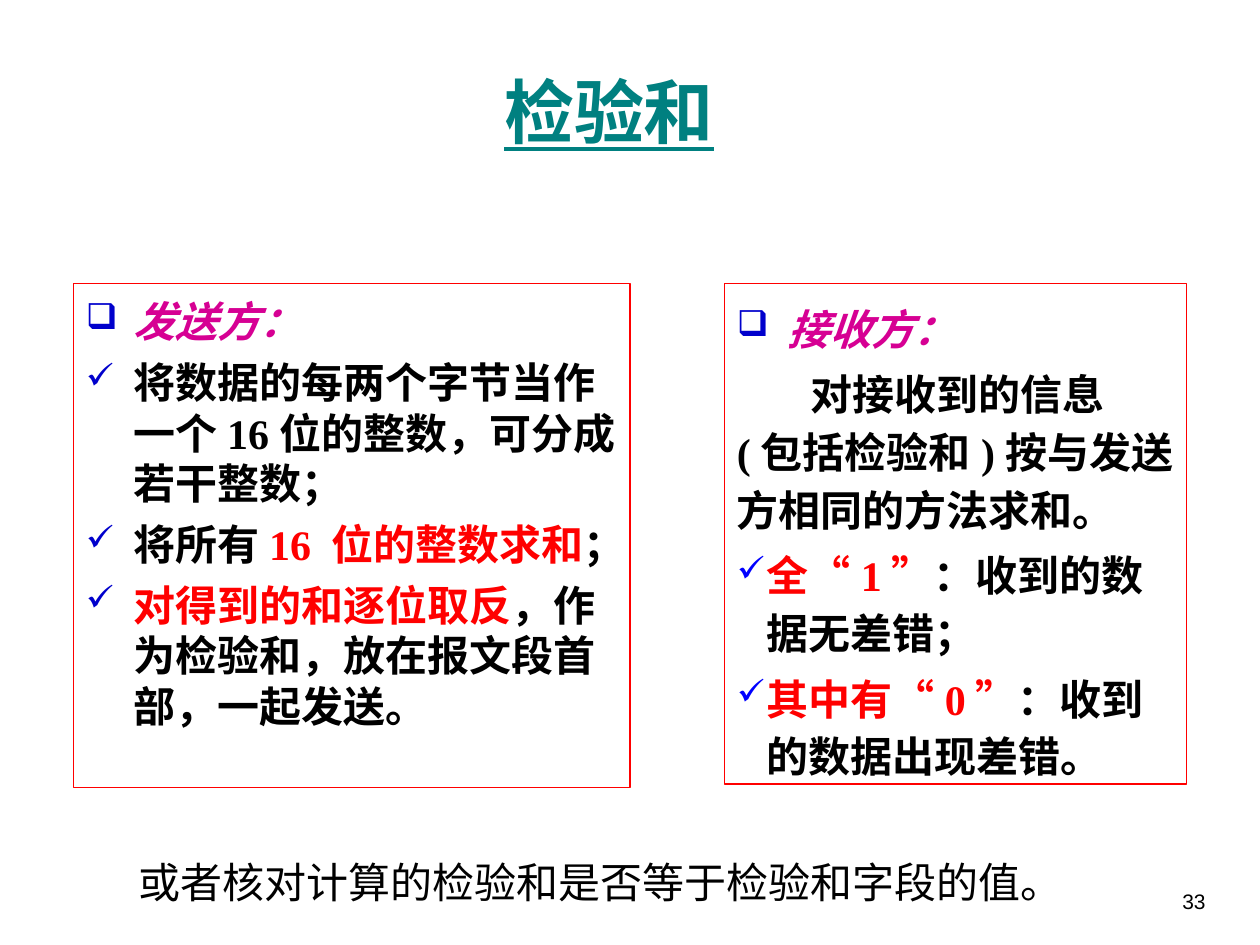
"""Build a slide on how the sender and the receiver use a checksum."""
from lxml.etree import SubElement
from pptx import Presentation
from pptx.dml.color import RGBColor
from pptx.enum.shapes import MSO_SHAPE
from pptx.enum.text import MSO_ANCHOR, PP_ALIGN
from pptx.oxml.ns import qn
from pptx.util import Pt

COLORS = {"title": "008080", "heading": "D60093", "body": "000000", "key": "FF0000",
          "border": "FF0000", "bullet": "0000CC", "check": "0000FF"}
CJK = "Noto Sans CJK SC"
LATIN = "Times New Roman"
BODY = {"size": Pt(24), "bold": True, "name": LATIN, "color": "body"}
KEY = BODY | {"color": "key"}
QUOTE = KEY | {"name": CJK}
HEADING = BODY | {"name": CJK, "color": "heading", "italic": True}
PLAIN = {"size": Pt(24), "name": "Comic Neue", "color": "body"}
TITLE = {"size": Pt(40), "bold": True, "underline": True, "name": LATIN, "color": "title"}
NUMBER = {"size": Pt(12), "name": "Arial", "color": "body"}


def set_attributes(target, values):
    """Set every attribute named in values."""
    for name, value in values.items():
        setattr(target, name, value)


def add_spans(para, spans):
    """Append formatted runs given as (text, style) pairs."""
    for text, style in spans:
        span = para.add_run()
        span.text = text
        set_attributes(span.font, {name: value for name, value in style.items() if name != "color"})
        span.font.color.rgb = RGBColor.from_string(COLORS[style["color"]])
        SubElement(span.font._element, qn("a:ea"), typeface=CJK)


def set_bullet(para, symbol, color, indent):
    """Give a paragraph a coloured hanging bullet."""
    properties = para._p.get_or_add_pPr()
    properties.set("marL", str(Pt(indent)))
    properties.set("indent", str(-Pt(indent)))
    holder = SubElement(properties, qn("a:buClr"))
    SubElement(holder, qn("a:srgbClr"), val=COLORS[color])
    SubElement(properties, qn("a:buSzPct"), val="85000")
    SubElement(properties, qn("a:buChar"), char=symbol)


def add_panel(page, place, paragraphs, line_spacing, gap):
    """Add a bordered box holding (bullet, first indent, spans) paragraphs."""
    box = page.shapes.add_shape(MSO_SHAPE.RECTANGLE, *map(Pt, place))
    box.shadow.inherit = False
    box.fill.background()
    box.line.color.rgb = RGBColor.from_string(COLORS["border"])
    box.line.width = Pt(0.75)
    frame = box.text_frame
    set_attributes(frame, {"word_wrap": True, "vertical_anchor": MSO_ANCHOR.TOP,
                           "margin_top": Pt(7), "margin_bottom": Pt(0)})
    for index, (bullet, first_indent, spans) in enumerate(paragraphs):
        para = frame.add_paragraph() if index else frame.paragraphs[0]
        if bullet:
            set_bullet(para, *bullet)
        else:
            para._p.get_or_add_pPr().set("indent", str(Pt(first_indent)))
        set_attributes(para, {"alignment": PP_ALIGN.LEFT, "line_spacing": Pt(line_spacing),
                              "space_before": Pt(gap if index else 0)})
        add_spans(para, spans)


def add_label(page, place, text, style, alignment, anchor):
    """Add a one-line text box."""
    frame = page.shapes.add_textbox(*map(Pt, place)).text_frame
    set_attributes(frame, {"word_wrap": True, "vertical_anchor": anchor})
    frame.paragraphs[0].alignment = alignment
    add_spans(frame.paragraphs[0], [(text, style)])


def add_title(page, place, text):
    """Place and format the title placeholder."""
    title = page.shapes.title
    set_attributes(title, dict(zip(("left", "top", "width", "height"), map(Pt, place))))
    title.text_frame.vertical_anchor = MSO_ANCHOR.MIDDLE
    para = title.text_frame.paragraphs[0]
    para.alignment = PP_ALIGN.CENTER
    add_spans(para, [(text, TITLE)])


def result_spans(condition, digit, outcome):
    """Return the spans of one receiver result."""
    return [(condition, KEY), ("“", QUOTE), (digit, KEY), ("”", QUOTE), (outcome, BODY)]


def main():
    """Build and save the deck."""
    deck = Presentation()
    set_attributes(deck, {"slide_width": Pt(720), "slide_height": Pt(540)})
    page = deck.slides.add_slide(deck.slide_layouts[5])
    add_title(page, (42, 18, 612, 90), "检验和")

    step = ("✓", "bullet", 27)
    sender = [
        (("❑", "bullet", 27), 0, [("发送方：", HEADING)]),
        (step, 0, [("将数据的每两个字节当作一个16位的整数，可分成若干整数；", BODY)]),
        (step, 0, [("将所有", BODY), ("16 位的整数求和", KEY), ("；", BODY)]),
        (step, 0, [("对得到的和逐位取反", KEY), ("，作为检验和，放在报文段首部，一起发送。", BODY)]),
    ]
    add_panel(page, (42, 162, 318, 288), sender, 28.8, 6)

    result = ("✓", "check", 17)
    receiver = [
        (("❑", "bullet", 29), 0, [("接收方：", HEADING)]),
        (None, 42, [("对接收到的信息 (包括检验和)按与发送方相同的方法求和。", BODY)]),
        (result, 0, result_spans("全", "1", "：收到的数据无差错；")),
        (result, 0, result_spans("其中有", "0", "：收到的数据出现差错。")),
    ]
    add_panel(page, (414, 162, 264, 286), receiver, 33, 4.5)

    add_label(page, (72, 486, 588, 36), "或者核对计算的检验和是否等于检验和字段的值。",
              PLAIN, PP_ALIGN.LEFT, MSO_ANCHOR.MIDDLE)
    add_label(page, (643, 504, 53, 36), "33", NUMBER, PP_ALIGN.RIGHT, MSO_ANCHOR.TOP)
    deck.save("out.pptx")


if __name__ == "__main__":
    main()
